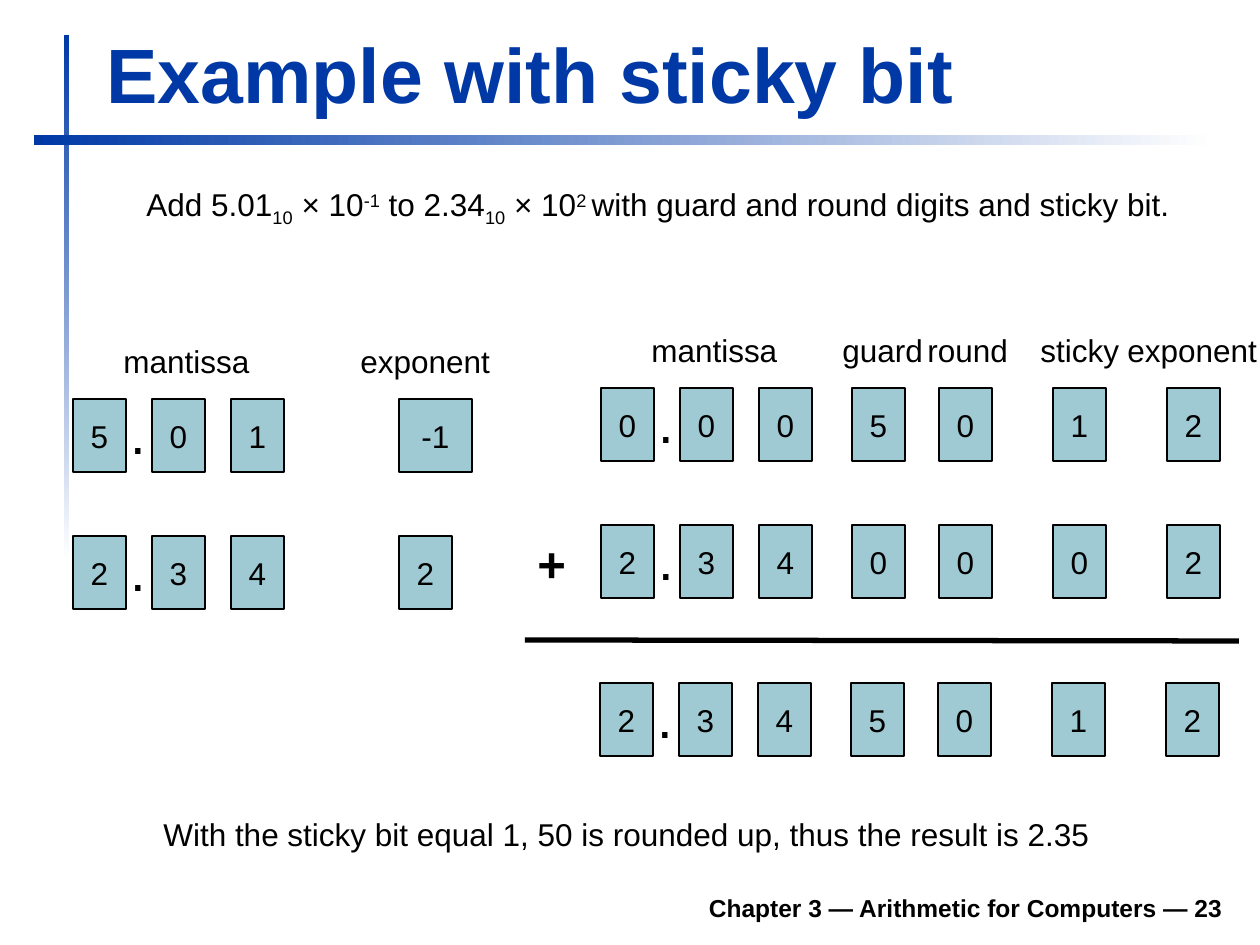
from pptx import Presentation
from pptx.dml.color import RGBColor
from pptx.enum.shapes import MSO_CONNECTOR, MSO_SHAPE
from pptx.enum.text import MSO_ANCHOR, PP_ALIGN
from pptx.oxml.ns import qn
from pptx.util import Emu, Pt

BLUE = RGBColor(0x00, 0x39, 0xA6)
TEAL = RGBColor(0x9F, 0xCA, 0xD3)
BLACK = RGBColor(0x00, 0x00, 0x00)
WHITE = RGBColor(0xFF, 0xFF, 0xFF)

CELL_WIDTH, CELL_HEIGHT = 53, 73
LABEL_RISE = 63
LABEL_WIDTHS = {"mantissa": 152, "exponent": 156, "guard": 107, "round": 107, "sticky": 107}
OPERAND_COLUMNS = (0, 79, 158, 326)
SUM_COLUMNS = (0, 79, 158, 251, 338, 452, 566)
PROBLEM = (
    ("Add 5.01", 0), ("10", -25), (" × 10", 0), ("-1", 30), (" to 2.34", 0),
    ("10", -25), (" × 10", 0), ("2 ", 30), ("with guard and round digits and sticky bit.", 0),
)


def px(length):
    """Convert pixels at 126 to the inch into EMU."""
    return Emu(round(length * 914400 / 126))


def place(*lengths):
    """Convert a box in pixels into EMU."""
    return [px(length) for length in lengths]


def format_runs(frame, size, color=BLACK, bold=False):
    """Apply one font to every run of a frame."""
    for paragraph in frame.paragraphs:
        for run in paragraph.runs:
            run.font.name = "Arial"
            run.font.size = Pt(size)
            run.font.bold = bold
            run.font.color.rgb = color


def add_text(shapes, box, text, size=18, bold=False, align=PP_ALIGN.LEFT, anchor=MSO_ANCHOR.TOP):
    """Add a single-line text box."""
    frame = shapes.add_textbox(*place(*box)).text_frame
    frame.word_wrap = False
    frame.vertical_anchor = anchor
    frame.text = text
    frame.paragraphs[0].alignment = align
    format_runs(frame, size, bold=bold)


def add_cell(shapes, left, top, digit, width=CELL_WIDTH):
    """Add one digit cell."""
    cell = shapes.add_shape(MSO_SHAPE.RECTANGLE, *place(left, top, width, CELL_HEIGHT))
    cell.shadow.inherit = False
    cell.fill.solid()
    cell.fill.fore_color.rgb = TEAL
    cell.line.color.rgb = BLACK
    cell.line.width = Pt(0.75)
    frame = cell.text_frame
    frame.vertical_anchor = MSO_ANCHOR.MIDDLE
    frame.text = digit
    frame.paragraphs[0].alignment = PP_ALIGN.CENTER
    format_runs(frame, 18)


def add_number(shapes, left, top, columns, digits):
    """Add a row of cells with a decimal point after the first."""
    for offset, digit in zip(columns, digits):
        width = CELL_WIDTH if len(digit) == 1 else 73
        add_cell(shapes, left + offset, top, digit, width)
    add_text(shapes, (left + 45, top - 7, 41, 81), ".", 32,
             align=PP_ALIGN.CENTER, anchor=MSO_ANCHOR.MIDDLE)


def add_numbers(shapes, left, top, columns, labels, rows):
    """Add column labels above rows of digits."""
    for label, offset in labels.items():
        add_text(shapes, (left + offset, top - LABEL_RISE, LABEL_WIDTHS[label], 50), label)
    for index, digits in enumerate(rows):
        add_number(shapes, left, top + index * 137, columns, digits)


def add_aligned_sum(shapes, left, top):
    """Add the aligned operands with plus sign and sum line."""
    labels = {"mantissa": 38, "guard": 229, "round": 314, "sticky": 427, "exponent": 514}
    add_numbers(shapes, left, top, SUM_COLUMNS, labels, ("0005012", "2340002"))
    add_text(shapes, (left - 76, top + 139, 54, 72), "+", 28, bold=True)
    sum_line = shapes.add_connector(
        MSO_CONNECTOR.STRAIGHT, *place(left + 638, top + 253, left - 76, top + 252))
    sum_line.line.color.rgb = BLACK
    sum_line.line.width = Pt(3)
    properties = sum_line._element.spPr
    properties.append(properties.makeelement(qn("a:effectLst"), {}))


def add_bar(shapes, box, angle):
    """Add a bar fading from blue to white."""
    bar = shapes.add_shape(MSO_SHAPE.RECTANGLE, *place(*box))
    bar.shadow.inherit = False
    bar.line.fill.background()
    bar.fill.gradient()
    bar.fill.gradient_angle = angle
    for stop, color in zip(bar.fill.gradient_stops, (BLUE, WHITE)):
        stop.color.rgb = color


def add_heading(slide, left, top, width, height):
    """Fill the title and draw its two bars."""
    add_bar(slide.shapes, (left - 30, top + 16, 5, 525), 270)
    add_bar(slide.shapes, (left - 60, top + 116, 1181, 10), 0)
    title = slide.shapes.title
    title.left, title.top, title.width, title.height = place(left, top, width, height)
    frame = title.text_frame
    frame.vertical_anchor = MSO_ANCHOR.BOTTOM
    frame.text = "Example with sticky bit"
    frame.paragraphs[0].alignment = PP_ALIGN.LEFT
    format_runs(frame, 44, BLUE, True)


def add_problem(shapes, box):
    """Add the problem with its subscripts and superscripts."""
    frame = shapes.add_textbox(*place(*box)).text_frame
    frame.word_wrap = False
    for text, baseline in PROBLEM:
        run = frame.paragraphs[0].add_run()
        run.text = text
        if baseline:
            run.font._element.set("baseline", str(baseline * 1000))
    format_runs(frame, 18)


def main():
    """Build and save the slide."""
    deck = Presentation()
    deck.slide_width, deck.slide_height = place(1260, 945)
    slide = deck.slides.add_slide(deck.slide_layouts[5])
    shapes = slide.shapes
    add_heading(slide, 94, 19, 1138, 106)
    add_text(shapes, (233, 880, 1002, 49), "Chapter 3 — Arithmetic for Computers — 23", 14,
             bold=True, align=PP_ALIGN.RIGHT, anchor=MSO_ANCHOR.BOTTOM)
    add_problem(shapes, (134, 179, 1050, 55))
    add_numbers(shapes, 73, 399, OPERAND_COLUMNS, {"mantissa": 38, "exponent": 275},
                (("5", "0", "1", "-1"), "2342"))
    add_text(shapes, (151, 809, 960, 50),
             "With the sticky bit equal 1, 50 is rounded up, thus the result is 2.35")
    add_number(shapes.add_group_shape().shapes, 600, 683, SUM_COLUMNS, "2345012")
    add_aligned_sum(shapes.add_group_shape().shapes, 601, 388)
    deck.save("out.pptx")


if __name__ == "__main__":
    main()
